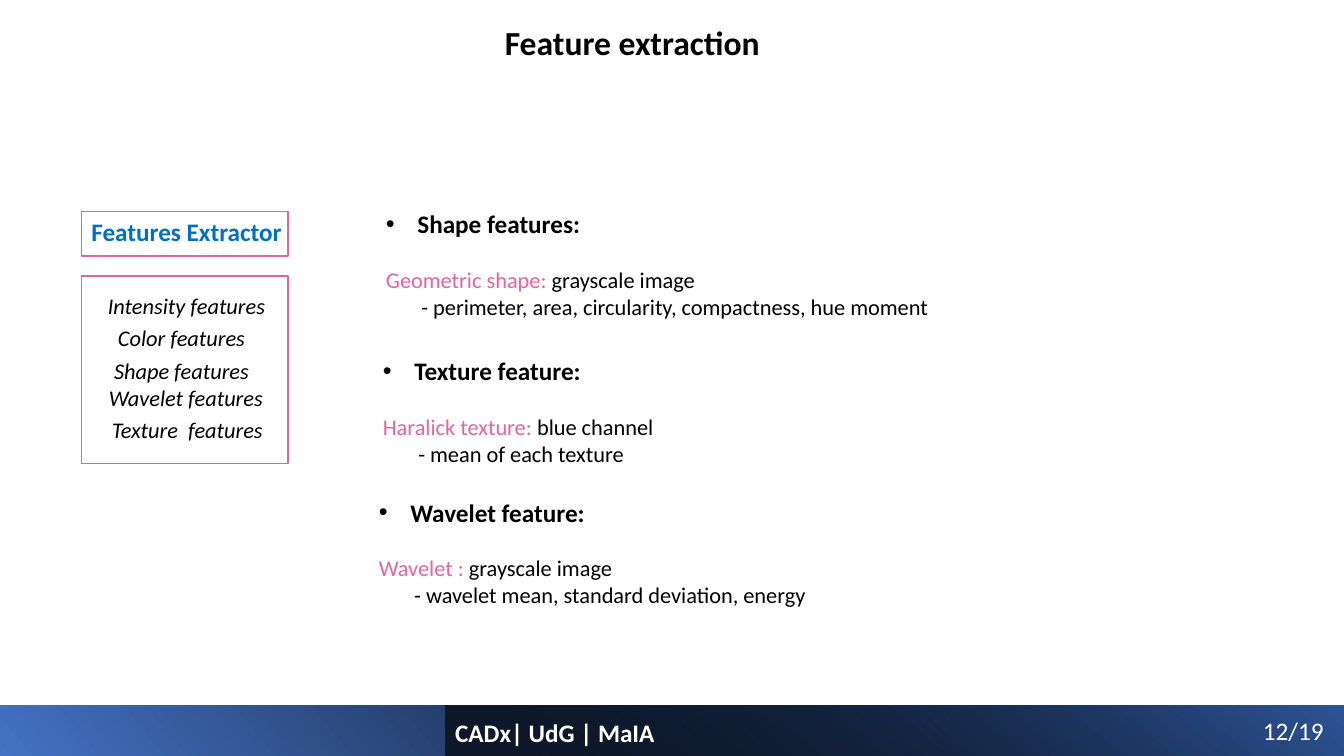
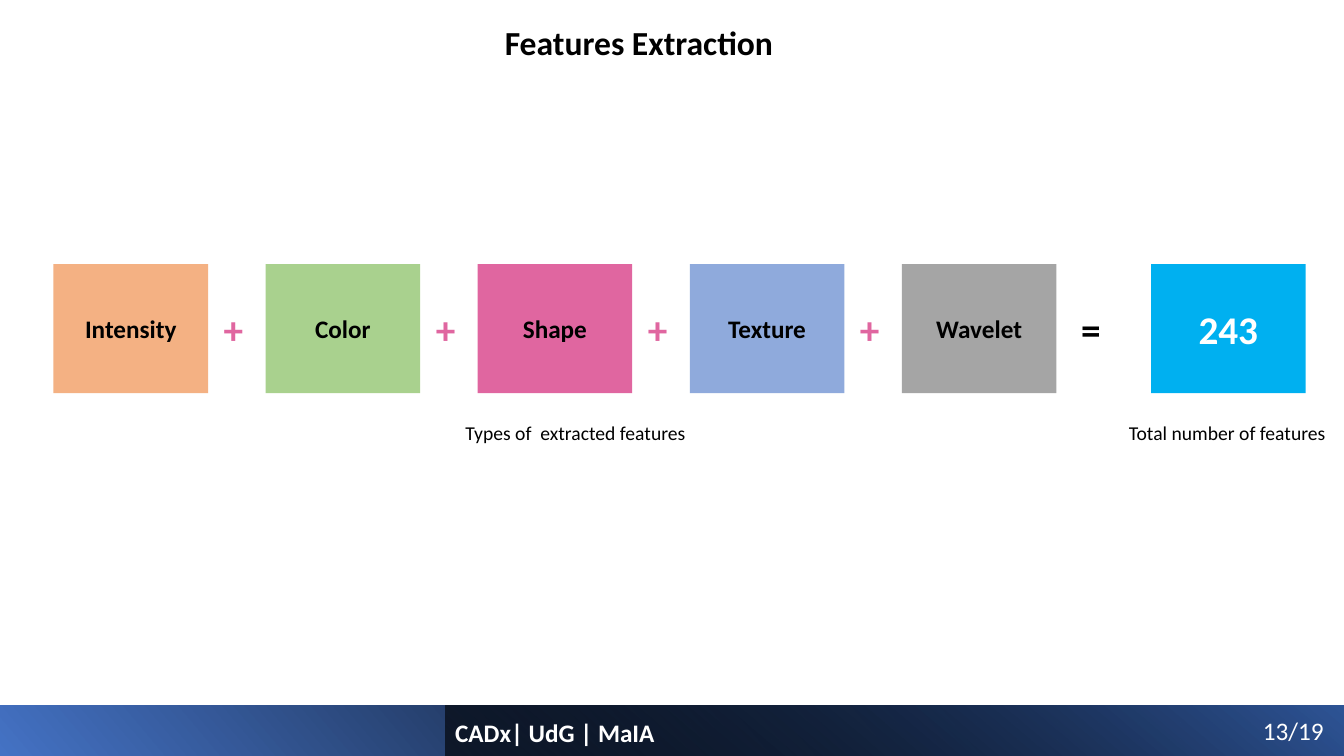
from dataclasses import dataclass

from lxml.etree import SubElement
from pptx import Presentation
from pptx.dml.color import RGBColor
from pptx.enum.shapes import MSO_SHAPE
from pptx.enum.text import MSO_ANCHOR, PP_ALIGN
from pptx.oxml.ns import qn
from pptx.util import Pt


@dataclass(frozen=True)
class Theme:
    font: str = "Calibri"
    black: str = "000000"
    white: str = "FFFFFF"
    pink: str = "E066A0"
    blue: str = "0070C0"
    sky: str = "00B0F0"
    royal: str = "4472C4"
    navy: str = "2F5597"
    orange: str = "F4B183"
    green: str = "A9D18E"
    steel: str = "8FAADC"
    grey: str = "A5A5A5"
    title: int = 24
    sign: int = 28
    head: int = 18
    body: int = 16
    note: int = 14


THEME = Theme()
WIDTH, HEIGHT = 960, 540
TOTAL = 19


def style(run, size, color=THEME.black, bold=False, italic=False):
    font = run.font
    font.name, font.size = THEME.font, Pt(size)
    font.bold, font.italic = bold, italic
    font.color.rgb = RGBColor.from_string(color)


def add_text(slide, box, text, size, wrap=False, align=PP_ALIGN.LEFT, **look):
    frame = slide.shapes.add_textbox(*map(Pt, box)).text_frame
    frame.word_wrap = wrap
    frame.text = text
    para = frame.paragraphs[0]
    para.alignment = align
    style(para.runs[0], size, **look)
    return frame


def add_rect(slide, box, fill=None, line=None):
    rect = slide.shapes.add_shape(MSO_SHAPE.RECTANGLE, *map(Pt, box))
    rect.shadow.inherit = False
    if fill:
        rect.fill.solid()
        rect.fill.fore_color.rgb = RGBColor.from_string(fill)
    else:
        rect.fill.background()
    if line:
        rect.line.color.rgb = RGBColor.from_string(line)
        rect.line.width = Pt(1)
    else:
        rect.line.fill.background()
    return rect


def add_band(slide, box, stops, angle, turn=0, alpha=None):
    """Mirrored gradient bar; angle runs clockwise, alpha fades the first stop."""
    band = add_rect(slide, box)
    band.rotation = turn
    band._element.spPr.find(qn("a:xfrm")).set("flipH", "1")
    band.fill.gradient()
    band.fill.gradient_angle = 360 - angle
    for stop, (place, color) in zip(band.fill.gradient_stops, stops):
        stop.position = place
        stop.color.rgb = RGBColor.from_string(color)
    if alpha:
        first = next(band._element.spPr.iter(qn("a:srgbClr")))
        SubElement(first, qn("a:alpha")).set("val", str(alpha * 1000))


def add_frame(deck, title, width, number):
    """New slide with the shared title, bands and footer."""
    slide = deck.slides.add_slide(deck.slide_layouts[6])
    top, left = 504, 318
    add_band(slide, (0, top, WIDTH, HEIGHT - top),
             ((0, THEME.royal), (0.78, THEME.black)), 40, turn=180)
    add_band(slide, (left, top, WIDTH - left, HEIGHT - top),
             ((0, THEME.black), (1, THEME.navy)), 230, alpha=63)
    add_text(slide, (353.5, 12.2, width, 36), title, THEME.title, bold=True)
    add_text(slide, (895, top + 3.6, 58.3, 29), f"{number}/{TOTAL}",
             THEME.head, color=THEME.white)
    add_text(slide, (left, top + 4.6, 158.4, 29), "CADx| UdG | MaIA",
             THEME.head, color=THEME.white, bold=True)
    return slide


def add_panel(slide, box, title, items):
    """Boxed heading over a boxed list; items hold text, centre x and top."""
    left, top, width, height = box
    head, gap, span, row = 31.7, 14.4, 140, 26.6
    add_rect(slide, (left, top, width, head), line=THEME.pink)
    add_text(slide, (left, top, width + 4.3, 29), title, THEME.head,
             wrap=True, color=THEME.blue, bold=True)
    start = top + head + gap
    add_rect(slide, (left, start, width, height - head - gap), line=THEME.pink)
    for text, middle, drop in items:
        add_text(slide, (left + middle - span / 2, start + drop, span, row),
                 text, THEME.body, align=PP_ALIGN.CENTER, italic=True)


def set_bullet(para, indent):
    props = para._p.get_or_add_pPr()
    props.set("marL", str(Pt(indent)))
    props.set("indent", str(-Pt(indent)))
    SubElement(props, qn("a:buFont")).set("typeface", "Arial")
    SubElement(props, qn("a:buChar")).set("char", "•")


def add_topic(slide, box, head, label, source, detail):
    frame = add_text(slide, box, head, THEME.head, wrap=True, bold=True)
    set_bullet(frame.paragraphs[0], 22.5)
    para = frame.add_paragraph()
    para.space_before = Pt(19.5)
    for text, color in ((label, THEME.pink), (source, THEME.black)):
        run = para.add_run()
        run.text = text
        style(run, THEME.body, color)
    para = frame.add_paragraph()
    para.text = detail
    para._p.get_or_add_pPr().set("marL", str(Pt(25.3)))
    style(para.runs[0], THEME.body)


def add_card(slide, box, text, fill, size=THEME.head, color=THEME.black):
    card = add_rect(slide, box, fill=fill)
    frame = card.text_frame
    frame.text = text
    frame.vertical_anchor = MSO_ANCHOR.MIDDLE
    para = frame.paragraphs[0]
    para.alignment = PP_ALIGN.CENTER
    style(para.runs[0], size, color, bold=True)


def add_sum(slide, box, parts, total):
    """Row of cards joined by plus signs, then the total."""
    left, top, width, height = box
    wide, pitch = 110.4, 151.5
    sign = (top + 25.7, 28.8, 41)
    for i, (text, fill) in enumerate(parts):
        x = left + i * pitch
        add_card(slide, (x, top, wide, height), text, fill)
        last = i == len(parts) - 1
        add_text(slide, (x + (121 if last else 114.5), *sign),
                 "=" if last else "+", THEME.sign, bold=True,
                 color=THEME.black if last else THEME.pink)
    end = left + width - wide
    add_card(slide, (end, top, wide, height), total, THEME.sky,
             THEME.sign, THEME.white)
    below = top + height + 16
    add_text(slide, (left + 287.2, below, 176.4, 24.5),
             "Types of  extracted features", THEME.note)
    add_text(slide, (end - 23, below, 156.2, 24.5),
             "Total number of features", THEME.note)


def add_topics(deck):
    slide = add_frame(deck, "Feature extraction", 198.7, 12)
    add_panel(slide, (58.2, 151.2, 147.6, 180), "Features Extractor", (
        ("Intensity features", 75, 7.9),
        ("Color features", 71.4, 31),
        ("Shape features", 71.4, 54),
        ("Wavelet features", 74.6, 73.5),
        ("Texture  features", 75.6, 96.5),
    ))
    topics = (
        (268.6, 145.4, "Shape features:", "Geometric shape: ", "grayscale image",
         "- perimeter, area, circularity, compactness, hue moment"),
        (266.4, 250.2, "Texture feature:", "Haralick texture: ", "blue channel",
         "- mean of each texture"),
        (263.5, 351.4, "Wavelet feature:", "Wavelet : ", "grayscale image",
         "- wavelet mean, standard deviation, energy"),
    )
    for left, top, *words in topics:
        add_topic(slide, (left, top, 690, 87), *words)


def add_count(deck):
    slide = add_frame(deck, "Features Extraction", 208, 13)
    add_sum(slide, (38.2, 188.6, 894.4, 92.2), (
        ("Intensity", THEME.orange),
        ("Color", THEME.green),
        ("Shape", THEME.pink),
        ("Texture", THEME.steel),
        ("Wavelet", THEME.grey),
    ), "243")


def main():
    deck = Presentation()
    deck.slide_width, deck.slide_height = Pt(WIDTH), Pt(HEIGHT)
    add_topics(deck)
    add_count(deck)
    deck.save("out.pptx")


if __name__ == "__main__":
    main()
